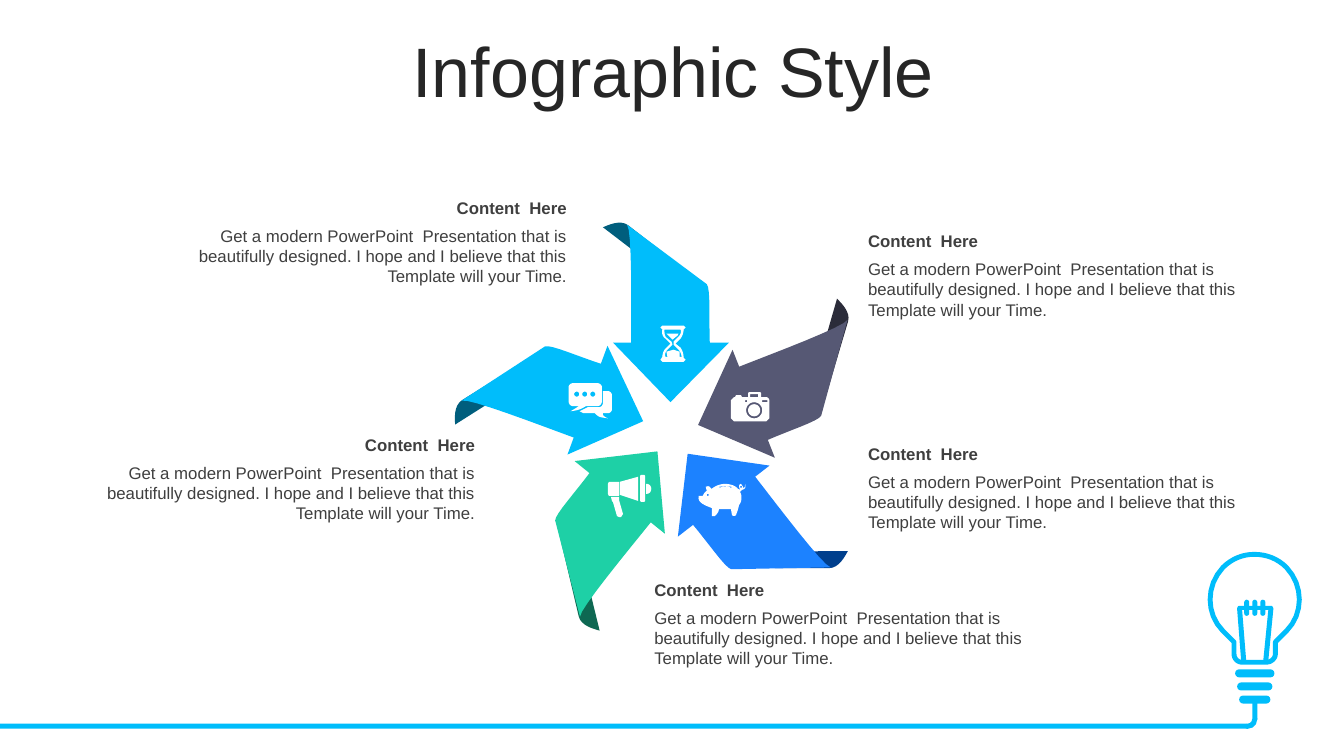
from dataclasses import dataclass
from typing import Optional

from pptx import Presentation
from pptx.dml.color import RGBColor
from pptx.enum.shapes import MSO_SHAPE as SHAPE
from pptx.enum.text import MSO_ANCHOR as ANCHOR, MSO_AUTO_SIZE as FIT, PP_ALIGN as ALIGN
from pptx.util import Inches, Pt

SKY, WHITE = "00BDFB", "FFFFFF"
CURVE_STEPS = 8
HEADING = "Content  Here"
BODY = ("Get a modern PowerPoint  Presentation that is beautifully designed. "
        "I hope and I believe that this Template will your Time.")


@dataclass
class Blade:
    left: float
    top: float
    fold_left: float
    fold_top: float
    angle: float
    color: str
    fold_color: str


@dataclass
class Note:
    left: float
    top: float
    width: float
    align: ALIGN


@dataclass
class Block:
    kind: SHAPE
    left: float
    top: float
    width: float
    height: float
    adjustments: tuple = ()


def ring(x: float, y: float, r: float) -> str:
    k = 0.55 * r
    return (f"{x},{y - r} C {x + k},{y - r} {x + r},{y - k} {x + r},{y} C {x + r},{y + k} {x + k},{y + r} {x},{y + r} "
            f"C {x - k},{y + r} {x - r},{y + k} {x - r},{y} C {x - r},{y - k} {x - k},{y - r} {x},{y - r}")


FOLD = ["6.23,2.23 C 6.15,2.17 6.03,2.23 5.98,2.25 6.79,2.87 7,2.83"]
ARROW = ["6.22,2.23 7.01,2.82 C 7.05,2.86 7.03,3.2 7.04,3.4 7.23,3.4 6.65,3.99 6.08,3.4 6.26,3.4 "
         "C 6.26,3.02 6.27,2.29 6.22,2.23"]
BLADES = [
    Blade(6.08, 2.23, 5.98, 2.21, 0, SKY, "005E7D"),
    Blade(7.17, 3.02, 7.71, 3.21, 68.6, "565874", "2B2C3A"),
    Blade(6.78, 4.32, 7.32, 5.22, 142.2, "1C82FF", "003F8D"),
    Blade(5.39, 4.28, 5.22, 5.38, 218.8, "1ED0A6", "0E6852"),
    Blade(4.98, 2.99, 4.45, 3.5, 290.2, SKY, "005E7D"),
]
NOTES = [
    Note(8.61, 2.24, 3.77, ALIGN.LEFT),
    Note(8.61, 4.35, 3.77, ALIGN.LEFT),
    Note(1.9, 1.91, 3.82, ALIGN.RIGHT),
    Note(0.99, 4.26, 3.82, ALIGN.RIGHT),
    Note(6.49, 5.7, 3.77, ALIGN.LEFT),
]
BULB_GLASS = ["12.44,5.5 C 12.56,5.5 12.67,5.54 12.76,5.63 C 12.93,5.81 12.93,6.09 12.76,6.26 12.65,6.37 12.65,6.49 "
              "C 12.65,6.53 12.61,6.57 12.56,6.57 12.32,6.57 C 12.27,6.57 12.24,6.53 12.24,6.49 12.24,6.37 12.13,6.26 "
              "C 11.96,6.09 11.96,5.81 12.13,5.63 C 12.22,5.54 12.33,5.5 12.44,5.5"]
FILAMENT = ["12.29,6.01 12.61,6.01 C 12.62,6.01 12.63,6.03 12.63,6.04 12.58,6.55 C 12.58,6.58 12.53,6.58 12.53,6.55 "
            "12.58,6.05 12.32,6.05 12.36,6.55 C 12.36,6.58 12.31,6.58 12.31,6.55 12.27,6.04 "
            "C 12.27,6.03 12.28,6.01 12.29,6.01"]
PRONGS = [Block(SHAPE.ROUNDED_RECTANGLE, 12.34 + 0.08 * i, 5.95, 0.05, 0.16, (0.5,)) for i in range(3)]
RUNGS = [Block(SHAPE.ROUNDED_RECTANGLE, 12.25 + 0.02 * i, 6.64 + 0.13 * i, 0.39 - 0.04 * i, 0.08, (0.5,))
         for i in range(3)]
CABLE = [
    Block(SHAPE.RECTANGLE, 0, 7.18, 12.37, 0.05),
    Block(SHAPE.RECTANGLE, 12.42, 6.97, 0.05, 0.17),
    Block(SHAPE.BLOCK_ARC, 12.28, 7.04, 0.19, 0.19, (213.39, 60.92, 0.27)),
]
SPEECH = [ring(5.72 + 0.08 * i, 3.91, 0.025) for i in range(3)] + [
    "5.98,3.88 6.03,3.88 C 6.05,3.88 6.07,3.9 6.07,3.92 6.07,4.06 C 6.07,4.08 6.05,4.1 6.03,4.1 5.98,4.1 "
    "C 5.98,4.12 5.98,4.13 6.03,4.15 C 5.95,4.14 5.94,4.14 5.9,4.1 5.79,4.1 5.75,4.08 5.83,4.04 5.94,4.04 "
    "C 5.96,4.04 5.98,4.02 5.98,4",
    "5.69,3.8 5.92,3.8 C 5.95,3.8 5.97,3.82 5.97,3.84 5.97,3.98 C 5.97,4.01 5.95,4.03 5.92,4.03 5.81,4.03 "
    "C 5.76,4.06 5.74,4.07 5.66,4.08 C 5.71,4.05 5.71,4.05 5.74,4.03 5.69,4.03 C 5.66,4.03 5.64,4.01 5.64,3.98 "
    "5.64,3.84 C 5.64,3.82 5.66,3.8 5.69,3.8"]
HOURGLASS = [
    "6.68,3.47 6.74,3.49 6.74,3.54 6.62,3.54 6.61,3.49",
    "6.61,3.31 6.73,3.31 6.72,3.33 6.67,3.37 6.63,3.33",
    "6.59,3.27 C 6.59,3.3 6.59,3.33 6.61,3.35 6.66,3.39 6.67,3.42 6.62,3.47 C 6.6,3.49 6.59,3.52 6.6,3.54 6.76,3.54 "
    "C 6.76,3.52 6.75,3.49 6.73,3.47 6.68,3.42 6.68,3.39 6.73,3.34 C 6.75,3.32 6.76,3.29 6.75,3.27",
    "6.57,3.23 6.78,3.23 6.8,3.25 6.78,3.27 C 6.78,3.3 6.77,3.33 6.75,3.36 6.7,3.41 6.75,3.45 "
    "C 6.77,3.48 6.78,3.51 6.78,3.55 6.8,3.57 6.78,3.59 6.57,3.59 6.55,3.57 6.57,3.54 "
    "C 6.57,3.51 6.58,3.48 6.6,3.46 6.65,3.41 6.6,3.36 C 6.57,3.34 6.56,3.3 6.57,3.27 6.55,3.25"]
MEGAPHONE = [
    "6.14,4.93 6.14,4.96 6.18,5.1 6.16,5.13 6.14,5.13 6.12,5.12 6.08,4.98 6.07,4.97 6.06,4.93",
    "6.41,4.8 C 6.44,4.8 6.46,4.82 6.46,4.85 C 6.46,4.88 6.44,4.9 6.41,4.9",
    "6.04,4.78 6.14,4.78 6.14,4.92 6.04,4.92 6.03,4.9 6.03,4.8",
    "6.33,4.73 6.33,4.97 6.15,4.91 6.15,4.78",
    "6.36,4.71 6.39,4.71 6.4,4.72 6.4,4.97 6.39,4.98 6.36,4.98 6.35,4.97 6.35,4.72"]
CAMERA = [ring(7.48, 4.07, 0.06), ring(7.48, 4.07, 0.08)] + [
    "7.39,3.97 7.39,3.99 7.41,3.99 7.41,3.97", "7.56,3.97 7.56,3.99 7.61,3.99 7.61,3.97",
    "7.44,3.91 7.44,3.94 7.52,3.94 7.52,3.91",
    "7.43,3.89 7.54,3.89 7.55,3.9 7.55,3.94 7.6,3.94 C 7.62,3.94 7.63,3.96 7.63,3.97 7.63,4.15 7.6,4.18 7.28,4.18 "
    "7.25,4.15 7.25,3.97 7.28,3.94 7.29,3.94 7.3,3.92 7.35,3.92 7.36,3.94 7.42,3.94 7.42,3.9"]
PIGGY = [ring(7.02, 4.91, 0.01), ring(7.35, 4.83, 0.01)] + [
    "7.19,4.82 7.13,4.83 7.14,4.84 C 7.17,4.82 7.22,4.82 7.25,4.84 7.26,4.83",
    "7.19,4.8 C 7.24,4.8 7.3,4.82 7.32,4.85 7.34,4.86 7.33,4.83 C 7.33,4.81 7.34,4.8 7.35,4.8 7.37,4.83 7.37,4.84 "
    "C 7.38,4.84 7.39,4.84 7.39,4.8 C 7.4,4.84 7.39,4.85 7.36,4.86 7.34,4.88 7.35,4.9 C 7.36,4.95 7.35,4.99 7.33,5.01 "
    "C 7.32,5.06 7.31,5.08 7.3,5.11 C 7.3,5.12 7.26,5.12 7.26,5.11 7.25,5.05 7.13,5.05 "
    "C 7.13,5.08 7.11,5.1 7.09,5.12 7.06,5.12 7.06,5.04 C 7.01,5.02 6.91,4.99 6.93,4.92 6.97,4.92 "
    "C 6.98,4.9 6.99,4.88 7.01,4.87 7,4.83 C 7.04,4.81 7.04,4.84 7.06,4.85 C 7.09,4.82 7.15,4.8 7.19,4.8"]


def rgb(color: str) -> RGBColor:
    return RGBColor.from_string(color)


def paint(sp, fill: str, line: Optional[str] = None) -> None:
    sp.shadow.inherit = False
    sp.fill.solid()
    sp.fill.fore_color.rgb = rgb(fill)
    if line:
        sp.line.color.rgb, sp.line.width = rgb(line), Pt(3.5)
    else:
        sp.line.fill.background()


def pair(token: str) -> tuple:
    return tuple(Inches(float(n)) for n in token.split(","))


def trace(contour: str) -> list:
    points, tokens = [], iter(contour.split())
    for token in tokens:
        if token != "C":
            points.append(pair(token))
            continue
        a, b, c, d = points[-1], *(pair(next(tokens)) for _ in range(3))
        for t in (step / CURVE_STEPS for step in range(1, CURVE_STEPS + 1)):
            u = 1 - t
            points.append(tuple(u**3 * a[i] + 3 * u * u * t * b[i] + 3 * u * t * t * c[i] + t**3 * d[i]
                                for i in (0, 1)))
    return points


def add_outline(slide, contours: list, fill: str, line: Optional[str] = None):
    loops = [trace(contour) for contour in contours]
    builder = slide.shapes.build_freeform(*loops[0][0])
    for loop in loops:
        if loop is not loops[0]:
            builder.move_to(*loop[0])
        builder.add_line_segments(loop[1:], close=True)
    sp = builder.convert_to_shape()
    paint(sp, fill, line)
    return sp


def add_turned(slide, contours: list, left: float, top: float, angle: float, color: str) -> None:
    sp = add_outline(slide, contours, color)
    sp.left, sp.top, sp.rotation = Inches(left), Inches(top), angle


def add_block(slide, b: Block) -> None:
    sp = slide.shapes.add_shape(b.kind, Inches(b.left), Inches(b.top), Inches(b.width), Inches(b.height))
    for i, value in enumerate(b.adjustments):
        sp.adjustments[i] = value
    paint(sp, SKY)


def write(tf, text: str, size: float, color: str, align: ALIGN, bold: bool = False) -> None:
    p = tf.paragraphs[0]
    p.alignment = align
    r = p.add_run()
    r.text = text
    r.font.name, r.font.size, r.font.bold = "Arial", Pt(size), bold
    r.font.color.rgb = rgb(color)


def add_note(slide, note: Note) -> None:
    for text, drop, height, bold in ((HEADING, 0, 0.3, True), (BODY, 0.28, 0.71, False)):
        sp = slide.shapes.add_textbox(Inches(note.left), Inches(note.top + drop), Inches(note.width), Inches(height))
        tf = sp.text_frame
        tf.word_wrap, tf.margin_left, tf.auto_size = True, 0, FIT.SHAPE_TO_FIT_TEXT
        tf.vertical_anchor = ANCHOR.MIDDLE if bold else ANCHOR.TOP
        write(tf, text, 12, "3F3F3F", note.align, bold)


def main() -> None:
    prs = Presentation()
    prs.slide_width, prs.slide_height = Inches(13.33), Inches(7.5)
    slide = prs.slides.add_slide(prs.slide_layouts[5])
    sp = slide.shapes.title
    sp.left, sp.top, sp.width, sp.height = Inches(0.35), Inches(0.37), Inches(12.66), Inches(0.79)
    tf = sp.text_frame
    tf.auto_size, tf.vertical_anchor = FIT.NONE, ANCHOR.MIDDLE
    write(tf, "Infographic Style", 50, "262626", ALIGN.CENTER)
    tf.paragraphs[0].line_spacing = 0.8
    add_outline(slide, BULB_GLASS, WHITE, SKY)
    add_outline(slide, FILAMENT, SKY)
    for block in PRONGS + RUNGS + CABLE:
        add_block(slide, block)
    for b in BLADES:
        add_turned(slide, FOLD, b.fold_left, b.fold_top, b.angle, b.fold_color)
        add_turned(slide, ARROW, b.left, b.top, b.angle, b.color)
    for note in NOTES:
        add_note(slide, note)
    for icon in (SPEECH, HOURGLASS, MEGAPHONE, CAMERA, PIGGY):
        add_outline(slide, icon, WHITE)
    prs.save("out.pptx")


if __name__ == "__main__":
    main()
